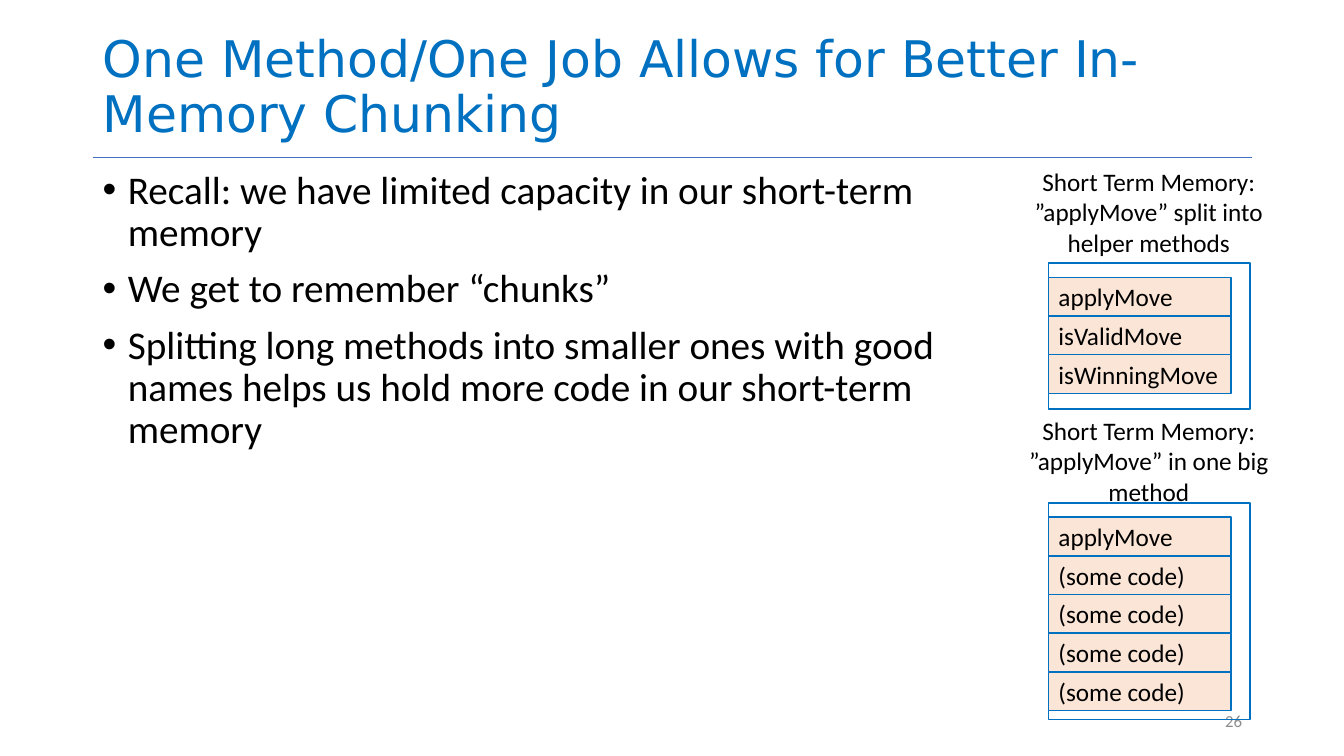
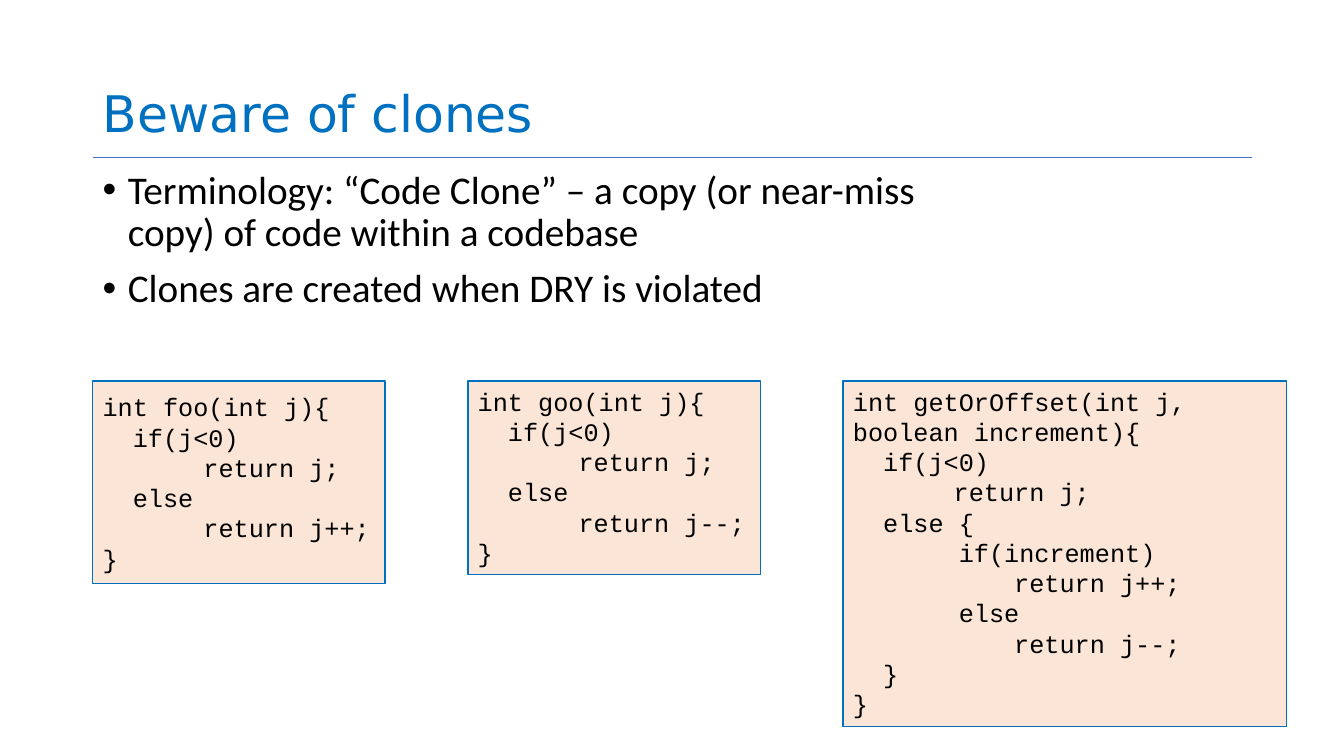
from dataclasses import dataclass

from lxml.etree import SubElement
from pptx import Presentation
from pptx.dml.color import RGBColor
from pptx.enum.shapes import MSO_CONNECTOR, MSO_SHAPE
from pptx.enum.text import MSO_ANCHOR, MSO_AUTO_SIZE, PP_ALIGN
from pptx.oxml.ns import qn
from pptx.util import Inches, Pt


@dataclass(frozen=True)
class Theme:
    accent: RGBColor = RGBColor.from_string("0070C0")
    rule: RGBColor = RGBColor.from_string("4472C4")
    panel: RGBColor = RGBColor.from_string("FBE5D6")
    ink: RGBColor = RGBColor.from_string("000000")
    muted: RGBColor = RGBColor.from_string("8C8C8C")
    title_font: str = "DejaVu Sans"
    body_font: str = "Calibri"
    code_font: str = "Courier New"
    title_size: int = 36
    body_size: int = 28
    label_size: int = 18
    number_size: int = 12


THEME = Theme()
SLIDE_W, SLIDE_H = Inches(13.33), Inches(7.5)
MARGIN = 6.9
CONTENT_W = 86.27
CODE_TOP, CODE_PITCH = 50.4, 27.91
MEMORY_LEFT, MEMORY_W = 78.02, 15
CHUNK_W, CHUNK_H, CHUNK_INSET = 13.58, 5.12, 1.87

FOO = ["int foo(int j){", "  if(j<0)", "  \treturn j;", "  else", "  \treturn j++;", "}"]
GOO = ["int goo(int j){", "  if(j<0)", "  \treturn j;", "  else", "  \treturn j--;", "}"]
GET_OR_OFFSET = [
    "int getOrOffset(int j, boolean increment){",
    "  if(j<0)",
    "  \treturn j;",
    "  else {",
    "       if(increment)",
    " \t    return j++;",
    "       else",
    "  \t    return j--;",
    "  }",
    "}",
]


def across(share):
    return round(SLIDE_W * share / 100)


def down(share):
    return round(SLIDE_H * share / 100)


def area(left, top, width, height):
    return across(left), down(top), across(width), down(height)


def add_bullet(paragraph):
    properties = paragraph._p.get_or_add_pPr()
    properties.set("marL", str(Inches(0.25)))
    properties.set("indent", str(-Inches(0.25)))
    SubElement(properties, qn("a:buFont"), typeface="Arial")
    SubElement(properties, qn("a:buChar"), char="•")


def add_tab_stop(paragraph):
    stops = SubElement(paragraph._p.get_or_add_pPr(), qn("a:tabLst"))
    SubElement(stops, qn("a:tab"), pos=str(Inches(1)), algn="l")


def write(frame, lines, size, font=THEME.body_font, color=THEME.ink,
          align=PP_ALIGN.LEFT, anchor=MSO_ANCHOR.MIDDLE, decorate=None,
          line_spacing=None, gap=0):
    frame.word_wrap = True
    frame.auto_size = MSO_AUTO_SIZE.NONE
    frame.vertical_anchor = anchor
    for index, line in enumerate(lines):
        paragraph = frame.add_paragraph() if index else frame.paragraphs[0]
        if decorate:
            decorate(paragraph)
        paragraph.alignment = align
        paragraph.space_before = Pt(gap if index else 0)
        if line_spacing:
            paragraph.line_spacing = line_spacing
        run = paragraph.add_run()
        run.text = line
        run.font.name = font
        run.font.size = Pt(size)
        run.font.color.rgb = color


def add_text(slide, place, lines, size, **style):
    write(slide.shapes.add_textbox(*place).text_frame, lines, size, **style)


def add_box(slide, place, fill=None):
    box = slide.shapes.add_shape(MSO_SHAPE.RECTANGLE, *place)
    box.shadow.inherit = False
    box.line.color.rgb = THEME.accent
    box.line.width = Pt(1)
    if fill is None:
        box.fill.background()
    else:
        box.fill.solid()
        box.fill.fore_color.rgb = fill
    return box


def add_title_rule(slide):
    rule = slide.shapes.add_connector(
        MSO_CONNECTOR.STRAIGHT, across(MARGIN), down(20.8),
        across(MARGIN + CONTENT_W), down(20.8))
    rule.line.color.rgb = THEME.rule
    rule.line.width = Pt(0.5)
    SubElement(rule._element.spPr, qn("a:effectLst"))


def add_topic_slide(deck, heading, bullets):
    slide = deck.slides.add_slide(deck.slide_layouts[5])
    add_title_rule(slide)
    title = slide.shapes.title
    title.left, title.top, title.width, title.height = area(MARGIN, 0.27, CONTENT_W, 19.33)
    write(title.text_frame, [heading], THEME.title_size, font=THEME.title_font,
          color=THEME.accent, anchor=MSO_ANCHOR.BOTTOM, line_spacing=0.9)
    add_text(slide, area(MARGIN, 21.87, 64.74, 63.47), bullets, THEME.body_size,
             anchor=MSO_ANCHOR.TOP, decorate=add_bullet, line_spacing=0.9, gap=10)
    return slide


def add_page_number(slide, number):
    add_text(slide, area(70.67, 92.67, 22.5, 5.33), [number], THEME.number_size,
             color=THEME.muted, align=PP_ALIGN.RIGHT)


def add_memory(slide, caption, caption_top, top, height, chunks):
    add_box(slide, area(MEMORY_LEFT, top, MEMORY_W, height))
    for row, chunk in enumerate(chunks):
        chunk_top = top + CHUNK_INSET + row * CHUNK_H
        box = add_box(slide, area(MEMORY_LEFT, chunk_top, CHUNK_W, CHUNK_H), THEME.panel)
        write(box.text_frame, [chunk], THEME.label_size)
    add_text(slide, area(74.64, caption_top, 21.68, 12.53), [caption],
             THEME.label_size, align=PP_ALIGN.CENTER)


def add_code(slide, column, width, height, code, anchor=MSO_ANCHOR.TOP):
    place = area(MARGIN + column * CODE_PITCH, CODE_TOP, width, height)
    panel = add_box(slide, place, THEME.panel)
    write(panel.text_frame, code, THEME.label_size, font=THEME.code_font,
          anchor=anchor, decorate=add_tab_stop)


def build_chunking(deck):
    slide = add_topic_slide(deck, "One Method/One Job Allows for Better In-Memory Chunking", [
        "Recall: we have limited capacity in our short-term memory",
        "We get to remember “chunks”",
        "Splitting long methods into smaller ones with good names helps us "
        "hold more code in our short-term memory",
    ])
    add_page_number(slide, "26")
    add_memory(slide, "Short Term Memory: ”applyMove” split into helper methods",
               21.73, 34.8, 19.33, ["applyMove", "isValidMove", "isWinningMove"])
    add_memory(slide, "Short Term Memory: ”applyMove” in one big method",
               54.67, 66.53, 28.67, ["applyMove"] + ["(some code)"] * 4)


def build_clones(deck):
    slide = add_topic_slide(deck, "Beware of clones", [
        "Terminology: “Code Clone” – a copy (or near-miss copy) of code within a codebase",
        "Clones are created when DRY is violated",
    ])
    add_code(slide, 0, 21.76, 26.8, FOO, MSO_ANCHOR.MIDDLE)
    add_code(slide, 1, 21.76, 25.6, GOO)
    add_code(slide, 2, 33.01, 45.73, GET_OR_OFFSET)


def main():
    deck = Presentation()
    deck.slide_width, deck.slide_height = SLIDE_W, SLIDE_H
    build_chunking(deck)
    build_clones(deck)
    deck.save("out.pptx")


if __name__ == "__main__":
    main()
